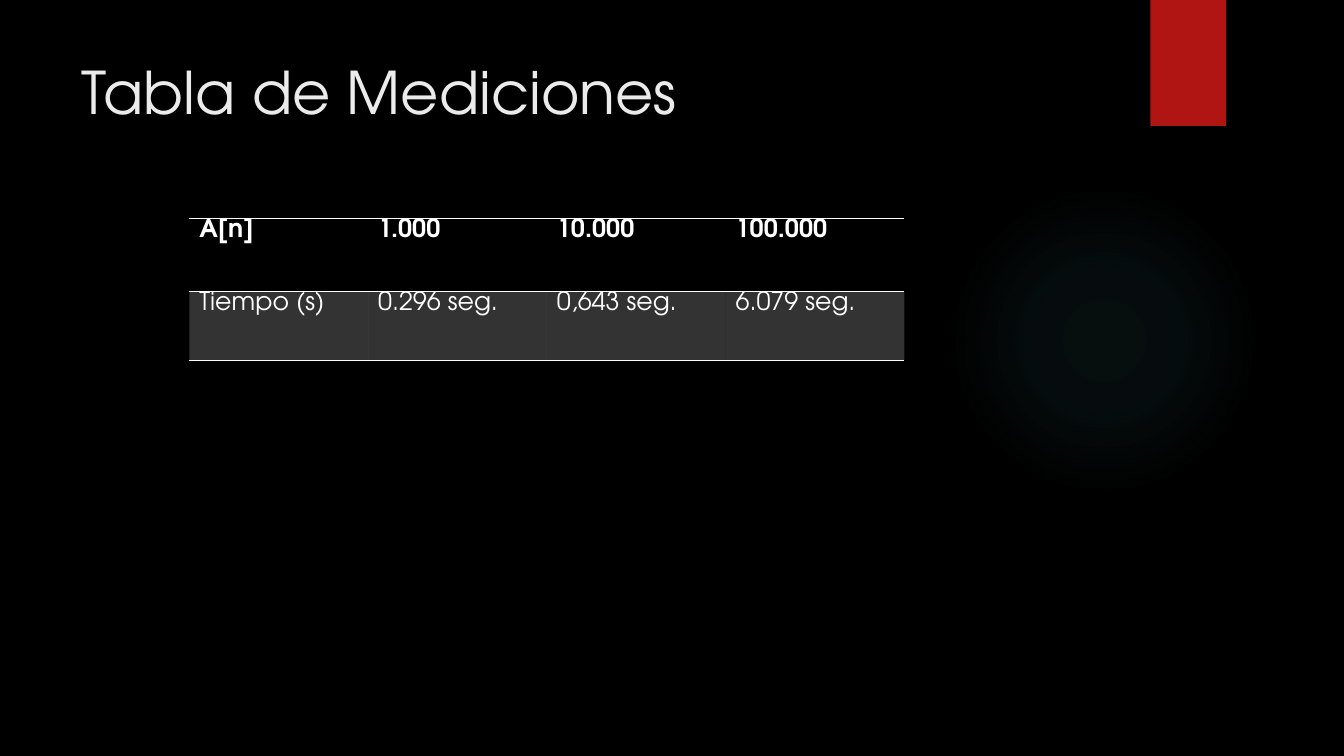
from lxml import etree
from pptx import Presentation
from pptx.dml.color import RGBColor
from pptx.enum import shapes, text
from pptx.oxml import parse_xml
from pptx.oxml.ns import nsdecls, qn
from pptx.util import Pt

TITLE = "Tabla de Mediciones"
ROWS = [
    ("A[n]", "1.000", "10.000", "100.000"),
    ("Tiempo (s)", "0.296 seg.", "0,643 seg.", "6.079 seg."),
]
HEIGHTS = (52.2, 49)
WIDTH = 127.7
GLOW = [(0, 7), (36, 6), (69, 0)]

FONT = "TeX Gyre Adventor"
BLACK = RGBColor(0x00, 0x00, 0x00)
WHITE = RGBColor(0xFF, 0xFF, 0xFF)
PALE = RGBColor(0xEB, 0xEB, 0xEB)
RED = RGBColor(0xB0, 0x15, 0x13)
TEAL = RGBColor(0x50, 0xB9, 0xC1)
PLAIN = "{2D5ABB26-0587-4C30-8999-92F81FD0307C}"


def write(frame, words, size=18, color=WHITE, bold=False):
    para = frame.paragraphs[0]
    para.alignment = text.PP_ALIGN.LEFT
    run = para.add_run()
    run.text = words
    run.font.name = FONT
    run.font.size = Pt(size)
    run.font.bold = bold
    run.font.color.rgb = color


def block(slide, kind, left, top, width, height):
    shape = slide.shapes.add_shape(kind, Pt(left), Pt(top), Pt(width), Pt(height))
    shape.shadow.inherit = False
    shape.line.fill.background()
    return shape


def glow(shape):
    stops = "".join(
        f'<a:gs pos="{pos * 1000}"><a:srgbClr val="{TEAL}">'
        f'<a:alpha val="{alpha * 1000}"/></a:srgbClr></a:gs>'
        for pos, alpha in GLOW
    )
    grad = parse_xml(
        f'<a:gradFill {nsdecls("a")} rotWithShape="1"><a:gsLst>{stops}</a:gsLst>'
        '<a:path path="circle"><a:fillToRect l="50000" t="50000" r="50000" b="50000"/>'
        "</a:path></a:gradFill>"
    )
    shape._element.spPr.find(qn("a:prstGeom")).addnext(grad)


def rule(cell, sides):
    props = cell._tc.get_or_add_tcPr()
    for spot, side in enumerate(sides):
        props.insert(spot, parse_xml(
            f'<a:ln{side} {nsdecls("a")} w="{Pt(1)}"><a:solidFill>'
            f'<a:srgbClr val="{WHITE}"/></a:solidFill></a:ln{side}>'
        ))


def shade(cell):
    cell.fill.solid()
    cell.fill.fore_color.rgb = WHITE
    tint = cell._tc.tcPr.find(qn("a:solidFill"))[0]
    etree.SubElement(tint, qn("a:alpha")).set("val", "20000")


def grid(slide):
    count = len(ROWS[0])
    frame = slide.shapes.add_table(
        len(ROWS), count, Pt(135.2), Pt(156.2), Pt(WIDTH * count), Pt(sum(HEIGHTS))
    )
    table = frame.table
    table.horz_banding = False
    table._tbl.tblPr.find(qn("a:tableStyleId")).text = PLAIN
    for col in table.columns:
        col.width = Pt(WIDTH)
    for r, row in enumerate(ROWS):
        table.rows[r].height = Pt(HEIGHTS[r])
        for c, words in enumerate(row):
            cell = table.cell(r, c)
            cell.margin_top = cell.margin_bottom = 0
            write(cell.text_frame, words, bold=r == 0)
            if r == 0:
                cell.fill.background()
            else:
                shade(cell)
            rule(cell, "TB")


def main():
    deck = Presentation()
    deck.slide_width, deck.slide_height = Pt(960), Pt(540)
    slide = deck.slides.add_slide(deck.slide_layouts[5])
    slide.background.fill.solid()
    slide.background.fill.fore_color.rgb = BLACK

    glow(block(slide, shapes.MSO_SHAPE.OVAL, 677.5, 131.8, 221.8, 221.8))
    flag = block(slide, shapes.MSO_SHAPE.RECTANGLE, 821.8, 0, 54, 90)
    flag.fill.solid()
    flag.fill.fore_color.rgb = RED

    title = slide.shapes.title
    title.left, title.top = Pt(51), Pt(36)
    title.width, title.height = Pt(741), Pt(110)
    title.text_frame.vertical_anchor = text.MSO_ANCHOR.TOP
    write(title.text_frame, TITLE, size=42, color=PALE)

    grid(slide)
    deck.save("out.pptx")


if __name__ == "__main__":
    main()
